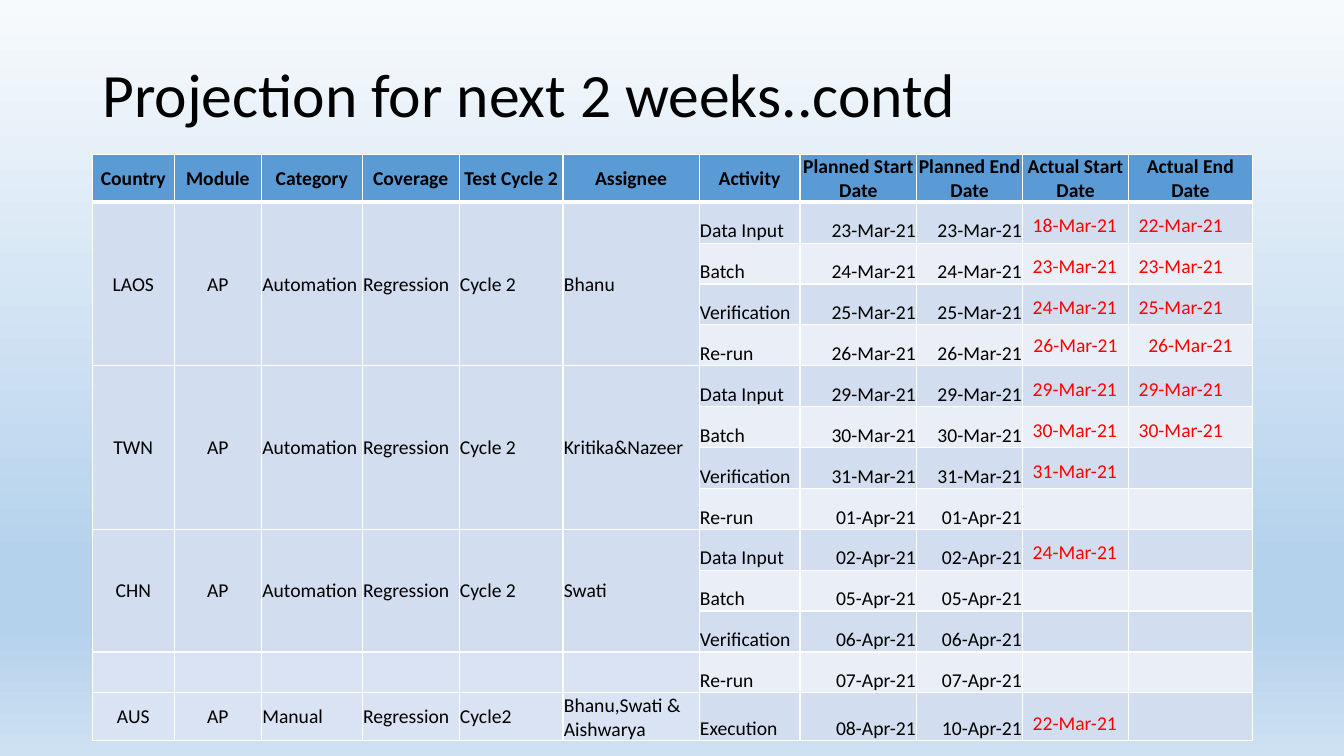
from lxml.etree import SubElement
from pptx import Presentation
from pptx.dml.color import RGBColor
from pptx.enum.text import MSO_ANCHOR, PP_ALIGN
from pptx.oxml.ns import qn
from pptx.util import Cm, Pt

THEME = {
    "font": "Calibri",
    "title_size": 44,
    "table_size": 14,
    "text": "000000",
    "actual": "FF0000",
    "header": "5B9BD5",
    "bands": ["D2DEEF", "EAEFF7"],
    "aus": "DAE3F3",
    "border": "FFFFFF",
    "background": [(0, "F7FAFD"), (74, "B5D2EC"), (83, "B5D2EC"), (100, "CEE1F2")],
}


def write(text_frame, text, size, color, align=PP_ALIGN.LEFT, bold=False):
    text_frame.text = text
    paragraph = text_frame.paragraphs[0]
    paragraph.alignment = align
    for run in paragraph.runs:
        run.font.name = THEME["font"]
        run.font.size = Pt(size)
        run.font.bold = bold
        run.font.color.rgb = RGBColor.from_string(color)


def style_cell(cell, fill, bottom_width=1):
    properties = cell._tc.get_or_add_tcPr()
    for side, width in (("L", 1), ("R", 1), ("T", 1), ("B", bottom_width)):
        line = SubElement(properties, qn(f"a:ln{side}"), w=str(Pt(width)))
        line_fill = SubElement(line, qn("a:solidFill"))
        SubElement(line_fill, qn("a:srgbClr"), val=THEME["border"])
    cell.fill.solid()
    cell.fill.fore_color.rgb = RGBColor.from_string(fill)


presentation = Presentation()
presentation.slide_width = Cm(33.87)
presentation.slide_height = Cm(19.05)
slide = presentation.slides.add_slide(presentation.slide_layouts[6])

# Background gradient, top to bottom
background = slide.background.fill
background.gradient()
background.gradient_angle = 270
stop_list = next(slide.element.iter(qn("a:gsLst")))
for stop in list(stop_list):
    stop_list.remove(stop)
for position, color in THEME["background"]:
    stop = SubElement(stop_list, qn("a:gs"), pos=str(position * 1000))
    SubElement(stop, qn("a:srgbClr"), val=color)

# Title
title = slide.shapes.add_textbox(Cm(2.33), Cm(1.02), Cm(29.21), Cm(2.87))
title.text_frame.word_wrap = True
title.text_frame.vertical_anchor = MSO_ANCHOR.MIDDLE
write(title.text_frame, "Projection for next 2 weeks..contd", THEME["title_size"], THEME["text"])
title.text_frame.paragraphs[0].line_spacing = 0.9

# Table content
headers = ["Country", "Module", "Category", "Coverage", "Test Cycle 2", "Assignee", "Activity",
           "Planned Start Date", "Planned End Date", "Actual Start Date", "Actual End Date"]
column_widths = [2.06, 2.2, 2.54, 2.44, 2.62, 3.43, 2.54, 2.94, 2.67, 2.67, 3.12]
row_height = 1.03

# First row, number of rows, fill, shared values
groups = [
    (1, 4, THEME["bands"][0], ["LAOS", "AP", "Automation", "Regression", "Cycle 2", "Bhanu"]),
    (5, 4, THEME["bands"][0], ["TWN", "AP", "Automation", "Regression", "Cycle 2", "Kritika&Nazeer"]),
    (9, 3, THEME["bands"][0], ["CHN", "AP", "Automation", "Regression", "Cycle 2", "Swati"]),
    (12, 1, THEME["aus"], [""] * 6),
    (13, 1, THEME["aus"], ["AUS", "AP", "Manual", "Regression", "Cycle2", "Bhanu,Swati & Aishwarya"]),
]
# Activity, planned start, planned end, actual start, actual end
activities = [
    ("Data Input", "23-Mar-21", "23-Mar-21", "18-Mar-21", "22-Mar-21"),
    ("Batch", "24-Mar-21", "24-Mar-21", "23-Mar-21", "23-Mar-21"),
    ("Verification", "25-Mar-21", "25-Mar-21", "24-Mar-21", "25-Mar-21"),
    ("Re-run", "26-Mar-21", "26-Mar-21", "26-Mar-21", "26-Mar-21"),
    ("Data Input", "29-Mar-21", "29-Mar-21", "29-Mar-21", "29-Mar-21"),
    ("Batch", "30-Mar-21", "30-Mar-21", "30-Mar-21", "30-Mar-21"),
    ("Verification", "31-Mar-21", "31-Mar-21", "31-Mar-21", ""),
    ("Re-run", "01-Apr-21", "01-Apr-21", "", ""),
    ("Data Input", "02-Apr-21", "02-Apr-21", "24-Mar-21", ""),
    ("Batch", "05-Apr-21", "05-Apr-21", "", ""),
    ("Verification", "06-Apr-21", "06-Apr-21", "", ""),
    ("Re-run", "07-Apr-21", "07-Apr-21", "", ""),
    ("Execution", "08-Apr-21", "10-Apr-21", "22-Mar-21", ""),
]
first_activity_column = 6
first_actual_column = 9
centred_actual_row = 4

# Table grid
row_count = len(activities) + 1
table = slide.shapes.add_table(row_count, len(headers), Cm(2.33), Cm(3.89),
                               Cm(sum(column_widths)), Cm(row_height * row_count)).table
for column, width in zip(table.columns, column_widths):
    column.width = Cm(width)
for row in table.rows:
    row.height = Cm(row_height)
    for column_index, cell in enumerate(row.cells):
        if column_index < first_actual_column or row is table.rows[0]:
            cell.margin_left = cell.margin_right = cell.margin_top = Cm(0.02)
            cell.margin_bottom = 0

# Header row
for column_index, header in enumerate(headers):
    cell = table.cell(0, column_index)
    cell.margin_left = cell.margin_right = cell.margin_top = Cm(0.02)
    cell.margin_bottom = 0
    cell.vertical_anchor = MSO_ANCHOR.MIDDLE
    style_cell(cell, THEME["header"], bottom_width=3)
    write(cell.text_frame, header, THEME["table_size"], THEME["text"], PP_ALIGN.CENTER, bold=True)

# Country groups, merged down their rows
for first_row, height, fill, values in groups:
    for column_index, value in enumerate(values):
        for row_index in range(first_row, first_row + height):
            style_cell(table.cell(row_index, column_index), fill)
        cell = table.cell(first_row, column_index)
        if height > 1:
            cell.merge(table.cell(first_row + height - 1, column_index))
        cell.vertical_anchor = MSO_ANCHOR.MIDDLE
        align = PP_ALIGN.CENTER if column_index < 2 else PP_ALIGN.LEFT
        write(cell.text_frame, value, THEME["table_size"], THEME["text"], align)

# Activities with planned and actual dates
for row_index, activity in enumerate(activities, start=1):
    for column_index, value in enumerate(activity, start=first_activity_column):
        cell = table.cell(row_index, column_index)
        style_cell(cell, THEME["bands"][(row_index - 1) % 2])
        cell.vertical_anchor = MSO_ANCHOR.BOTTOM
        is_actual = column_index >= first_actual_column
        align = PP_ALIGN.LEFT
        if is_actual and row_index == centred_actual_row:
            align = PP_ALIGN.CENTER
            cell.vertical_anchor = MSO_ANCHOR.MIDDLE
        elif not is_actual and column_index > first_activity_column:
            align = PP_ALIGN.RIGHT
        color = THEME["actual"] if is_actual else THEME["text"]
        write(cell.text_frame, value, THEME["table_size"], color, align)

presentation.save("out.pptx")
